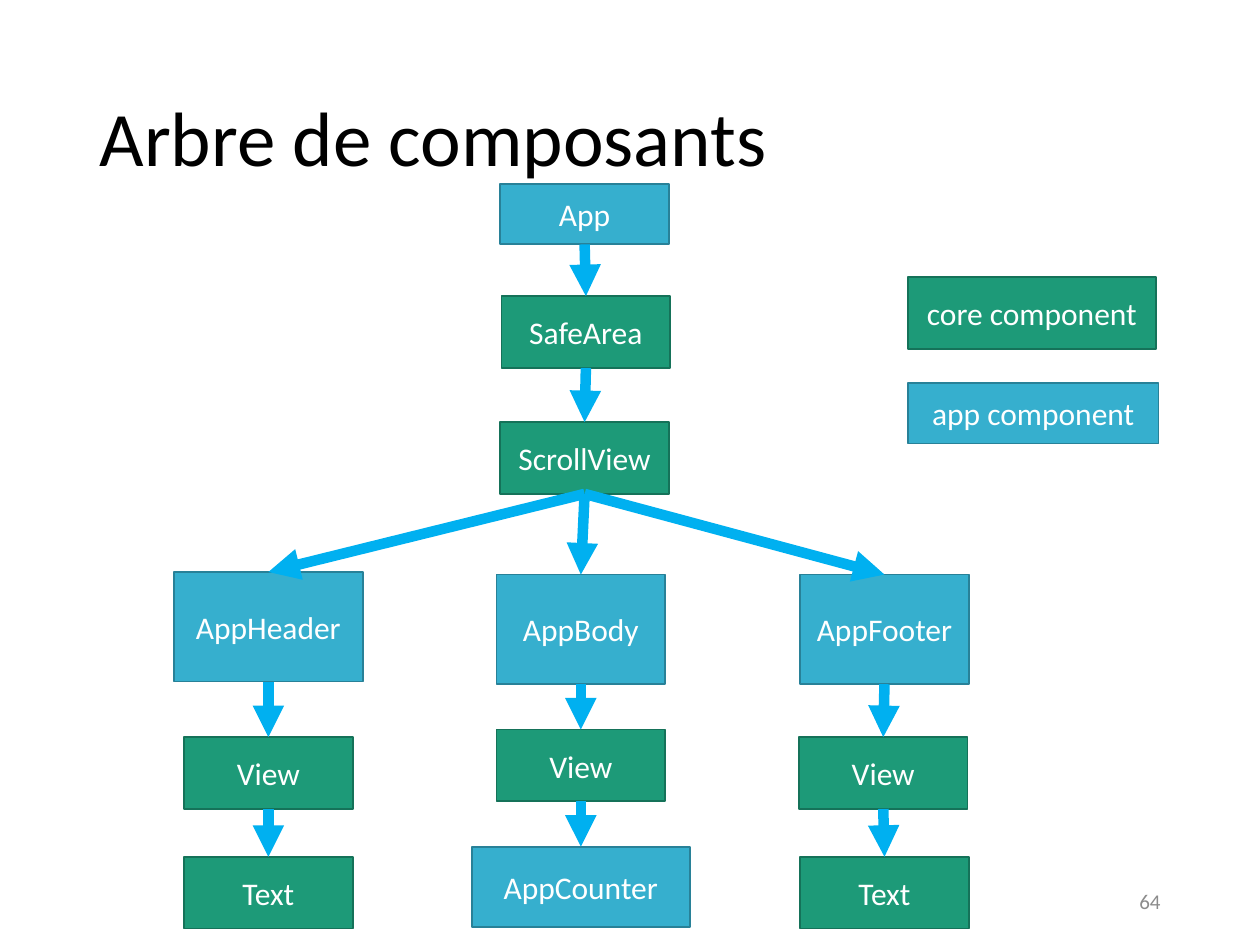
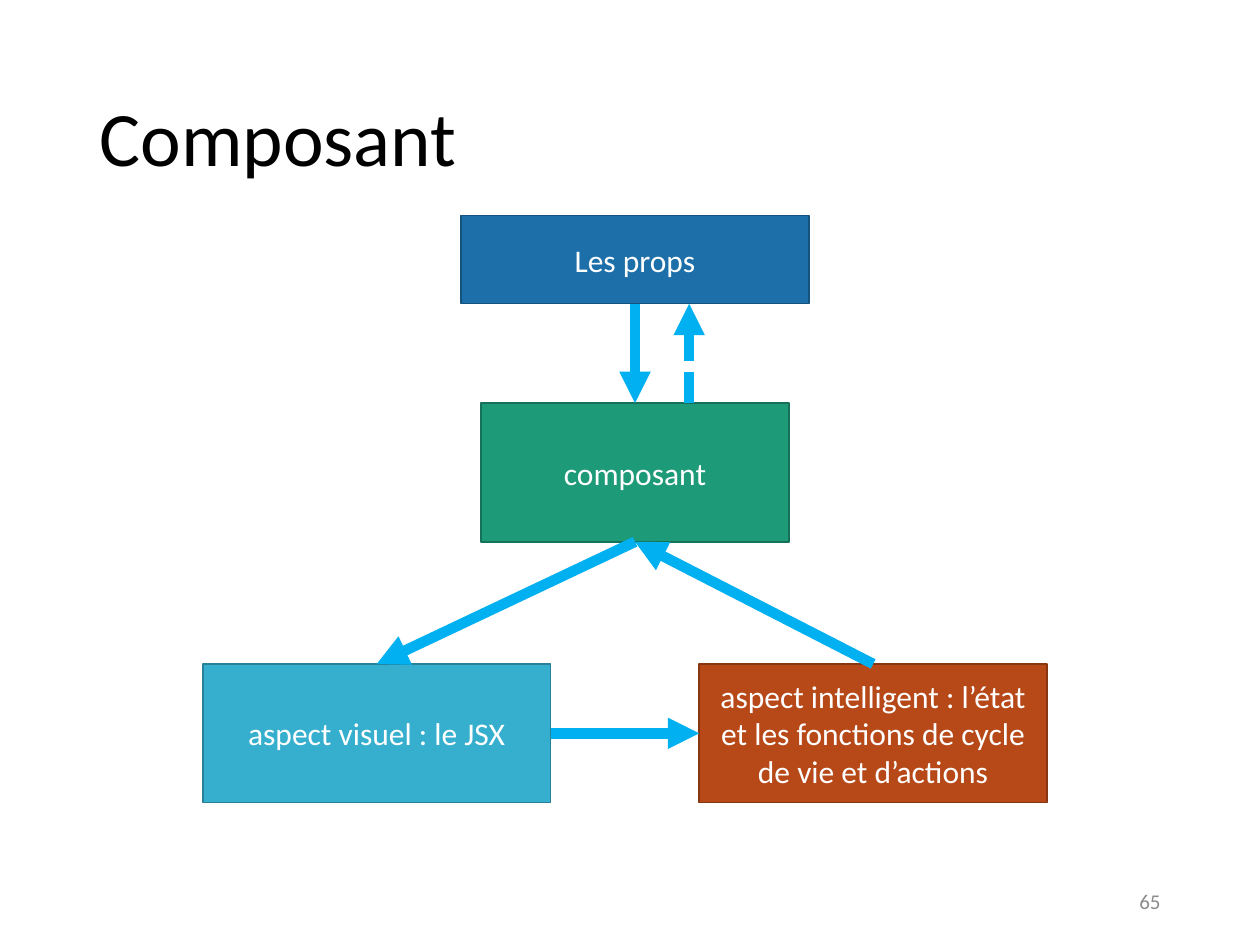
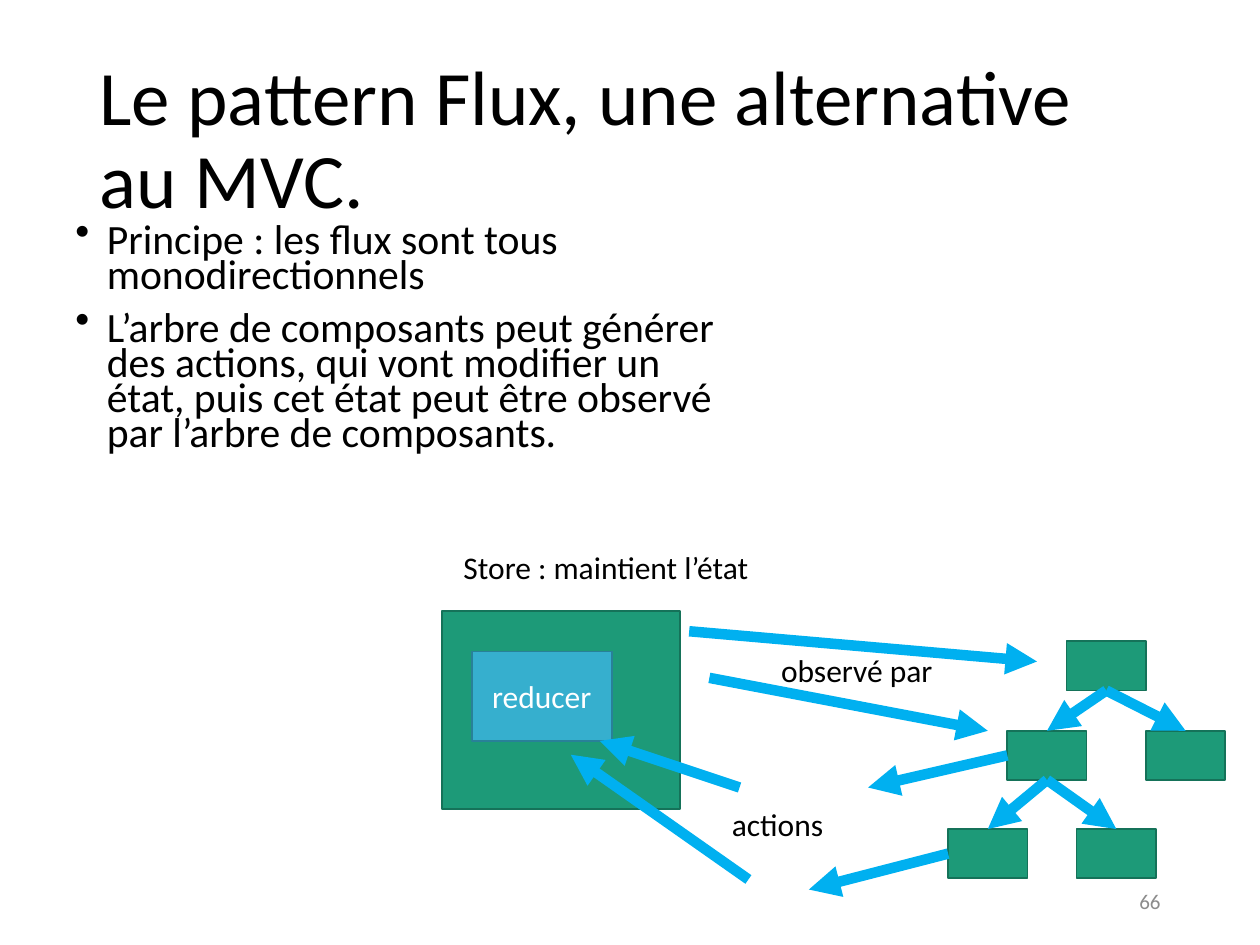
from lxml.etree import SubElement
from pptx import Presentation
from pptx.dml.color import RGBColor
from pptx.enum.dml import MSO_LINE
from pptx.enum.shapes import MSO_CONNECTOR, MSO_SHAPE
from pptx.enum.text import MSO_ANCHOR, MSO_AUTO_SIZE, PP_ALIGN
from pptx.oxml.ns import qn
from pptx.util import Inches, Pt

FONT = "Calibri"
BLACK, WHITE, GREY, ARROW = "000000", "FFFFFF", "8C8C8C", "00B0F0"
# Fill and outline of each kind of box
CORE = ("1D9A78", "157259")
APP = ("36AFCE", "288198")
LOGIC = ("B74919", "873612")
PROPS = ("1D6FA9", "15527D")
# Connection sites of a rectangle
TOP, LEFT, BOTTOM, RIGHT = range(4)

deck = Presentation()
deck.slide_width, deck.slide_height = Inches(10), Inches(7.5)
COLUMN = deck.slide_width / 100
ROW = deck.slide_height / 75


def paint(fill, color):
    fill.solid()
    fill.fore_color.rgb = RGBColor.from_string(color)


def write(box, text, size=18, color=BLACK, align=PP_ALIGN.LEFT, anchor=MSO_ANCHOR.MIDDLE,
          wrap=True, line_spacing=None, space_before=0, bullet=None):
    """Fill a box with one paragraph for each line of the text."""
    frame = box.text_frame
    frame.word_wrap = wrap
    frame.auto_size = MSO_AUTO_SIZE.NONE if wrap else MSO_AUTO_SIZE.SHAPE_TO_FIT_TEXT
    frame.vertical_anchor = anchor
    for index, line in enumerate(text.split("\n")):
        para = frame.add_paragraph() if index else frame.paragraphs[0]
        if bullet:
            properties = para._p.get_or_add_pPr()
            properties.set("marL", str(Inches(0.25)))
            properties.set("indent", str(-Inches(0.25)))
            SubElement(properties, qn("a:buChar")).set("char", bullet)
        para.alignment = align
        if line_spacing:
            para.line_spacing = line_spacing
        if index:
            para.space_before = Pt(space_before)
        span = para.add_run()
        span.text = line
        span.font.name, span.font.size = FONT, Pt(size)
        paint(span.font.fill, color)


# Boxes: text, kind, centre column, top row, columns wide, rows high
# Arrows: start and end, each a box with a side, or a column with a row
tree = {
    "title": "Arbre de composants",
    "boxes": {
        "app": ("App", APP, 46.4, 14.6, 13.4, 4.8),
        "safe area": ("SafeArea", CORE, 46.5, 23.5, 13.4, 5.7),
        "scroll": ("ScrollView", CORE, 46.4, 33.5, 13.4, 5.7),
        "header": ("AppHeader", APP, 21.3, 45.4, 15, 8.7),
        "body": ("AppBody", APP, 46.1, 45.6, 13.4, 8.7),
        "footer": ("AppFooter", APP, 70.2, 45.6, 13.4, 8.7),
        "header view": ("View", CORE, 21.3, 58.5, 13.4, 5.7),
        "body view": ("View", CORE, 46.1, 57.9, 13.4, 5.7),
        "footer view": ("View", CORE, 70.1, 58.5, 13.4, 5.7),
        "header text": ("Text", CORE, 21.3, 68, 13.4, 5.7),
        "counter": ("AppCounter", APP, 46.1, 67.2, 17.3, 6.4),
        "footer text": ("Text", CORE, 70.2, 68, 13.4, 5.7),
        "core key": ("core component", CORE, 81.9, 22, 19.7, 5.7),
        "app key": ("app component", APP, 82, 30.4, 19.9, 4.8),
    },
    "arrows": [((parent, BOTTOM), (child, TOP)) for parent, child in (
        ("app", "safe area"), ("safe area", "scroll"),
        ("scroll", "header"), ("scroll", "body"), ("scroll", "footer"),
        ("header", "header view"), ("body", "body view"), ("footer", "footer view"),
        ("header view", "header text"), ("body view", "counter"),
        ("footer view", "footer text"))],
}
component = {
    "title": "Composant",
    "boxes": {
        "component": ("composant", CORE, 50.4, 32, 24.4, 11),
        "visual": ("aspect visuel : le JSX", APP, 29.9, 52.7, 27.6, 11),
        "logic": ("aspect intelligent : l’état et les fonctions de cycle de vie et d’actions",
                  LOGIC, 69.3, 52.7, 27.6, 11),
        "props": ("Les props", PROPS, 50.4, 17.1, 27.6, 7),
    },
    "arrows": [
        (("props", BOTTOM), ("component", TOP)),
        (("component", BOTTOM), ("visual", TOP)),
        (("visual", RIGHT), ("logic", LEFT)),
        (("logic", TOP), ("component", BOTTOM)),
    ],
    "dashed arrows": [((54.7, 32), (54.7, 24.1))],
}
flux = {
    "title": "Le pattern Flux, une alternative au MVC.",
    "points": "Principe : les flux sont tous monodirectionnels\n"
              "L’arbre de composants peut générer des actions, qui vont modifier un état, "
              "puis cet état peut être observé par l’arbre de composants.",
    "boxes": {
        "root": ("", CORE, 87.8, 50.9, 6.3, 3.9),
        "branch": ("", CORE, 83.1, 58, 6.3, 3.9),
        "right branch": ("", CORE, 94.1, 58, 6.3, 3.9),
        "leaf": ("", CORE, 78.4, 65.8, 6.3, 3.9),
        "right leaf": ("", CORE, 88.6, 65.8, 6.3, 3.9),
        "store": ("", CORE, 44.5, 48.5, 18.9, 15.7),
        "reducer": ("reducer", APP, 43, 51.7, 11.1, 7.1),
    },
    "arrows": [
        (("root", BOTTOM), ("branch", TOP)),
        (("root", BOTTOM), ("right branch", TOP)),
        (("branch", BOTTOM), ("leaf", TOP)),
        (("branch", BOTTOM), ("right leaf", TOP)),
        (("leaf", LEFT), (64.2, 70.6)),
        (("branch", LEFT), (68.9, 62.5)),
        ((58.7, 62.5), (47.6, 58.8)),
        ((59.4, 69.8), (45.3, 59.9)),
        ((54.7, 50.1), (82.3, 52.5)),
        ((56.3, 53.8), (78.4, 58)),
    ],
    "labels": [
        ("actions", 57.1, 63.4, 9.4),
        ("Store : maintient l’état", 35.8, 43, 24.9),
        ("observé par", 61, 51.2, 14.2),
    ],
}

title_only = deck.slide_layouts[5]
for number, content in enumerate((tree, component, flux), start=64):
    page = deck.slides.add_slide(title_only)
    title = page.shapes.title
    title.left, title.top = round(6.9 * COLUMN), round(4 * ROW)
    title.width, title.height = round(86.2 * COLUMN), round(14.5 * ROW)
    write(title, content["title"], size=44, line_spacing=0.9)

    footer = page.shapes.add_textbox(
        round(70.6 * COLUMN), round(69.5 * ROW), round(22.5 * COLUMN), round(4 * ROW))
    write(footer, str(number), size=12, color=GREY, align=PP_ALIGN.RIGHT)

    if "points" in content:
        points = page.shapes.add_textbox(
            round(5 * COLUMN), round(17.5 * ROW), round(53.7 * COLUMN), round(20.8 * ROW))
        write(points, content["points"], size=23.8, anchor=MSO_ANCHOR.TOP,
              line_spacing=0.7, space_before=10, bullet="•")

    boxes = {}
    for name, (text, (fill, outline), centre, top, width, height) in content["boxes"].items():
        box = page.shapes.add_shape(
            MSO_SHAPE.RECTANGLE, round((centre - width / 2) * COLUMN), round(top * ROW),
            round(width * COLUMN), round(height * ROW))
        box.shadow.inherit = False
        paint(box.fill, fill)
        paint(box.line.fill, outline)
        box.line.width = Pt(1)
        if text:
            write(box, text, color=WHITE, align=PP_ALIGN.CENTER)
        boxes[name] = box

    dashed = content.get("dashed arrows", [])
    for start, end in content["arrows"] + dashed:
        arrow = page.shapes.add_connector(MSO_CONNECTOR.STRAIGHT, 0, 0, 0, 0)
        if start[0] in boxes:
            arrow.begin_connect(boxes[start[0]], start[1])
        else:
            arrow.begin_x, arrow.begin_y = round(start[0] * COLUMN), round(start[1] * ROW)
        if end[0] in boxes:
            arrow.end_connect(boxes[end[0]], end[1])
        else:
            arrow.end_x, arrow.end_y = round(end[0] * COLUMN), round(end[1] * ROW)
        paint(arrow.line.fill, ARROW)
        arrow.line.width = Pt(6)
        if (start, end) in dashed:
            arrow.line.dash_style = MSO_LINE.SQUARE_DOT
        properties = arrow._element.spPr
        SubElement(properties.find(qn("a:ln")), qn("a:tailEnd")).set("type", "triangle")
        SubElement(properties, qn("a:effectLst"))

    for text, left, top, width in content.get("labels", []):
        label = page.shapes.add_textbox(
            round(left * COLUMN), round(top * ROW), round(width * COLUMN), round(4 * ROW))
        write(label, text, anchor=MSO_ANCHOR.TOP, wrap=False)

deck.save("out.pptx")
